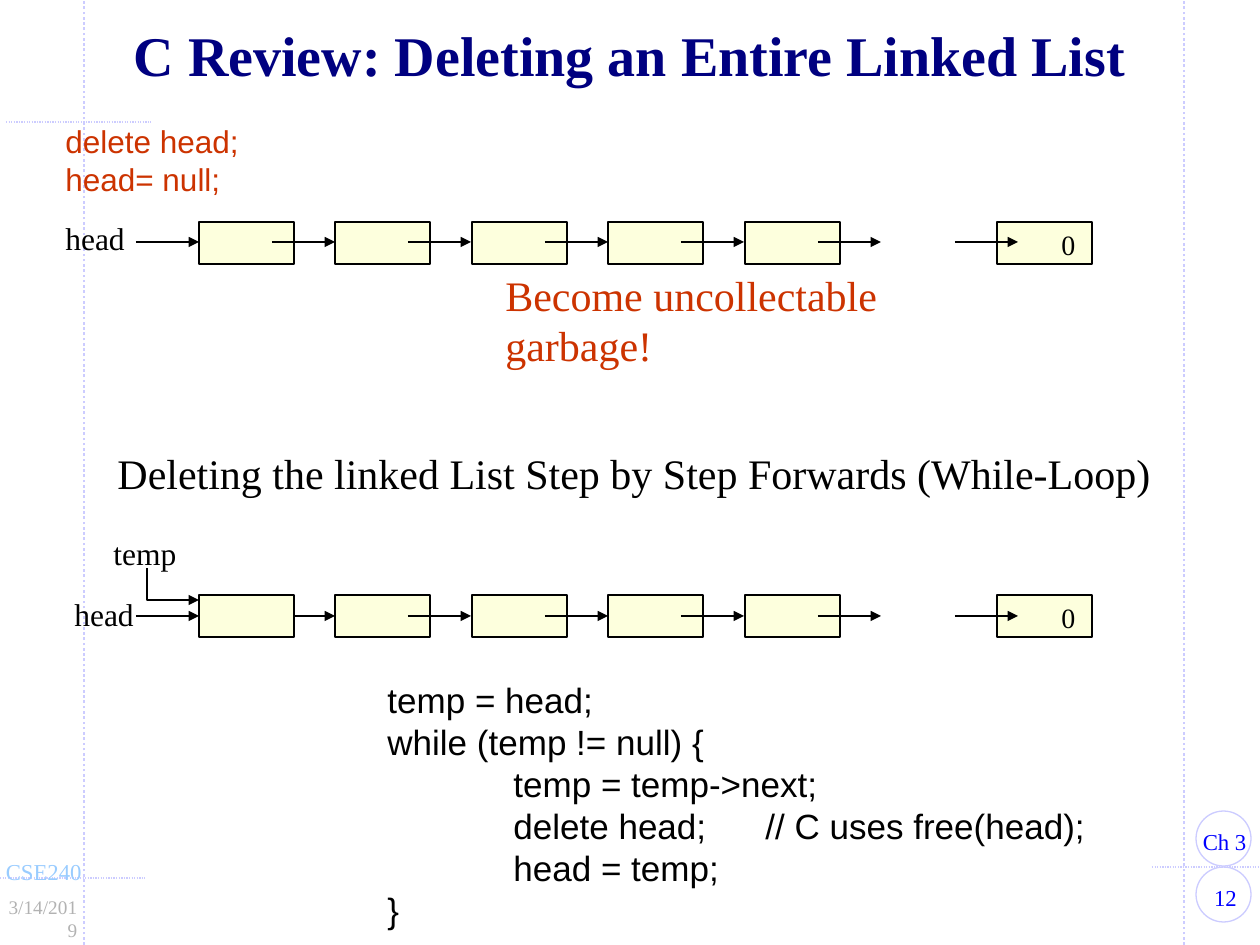
from lxml import etree
from pptx import Presentation, util as u
from pptx.dml.color import RGBColor
from pptx.enum import dml, shapes, text
from pptx.oxml.ns import qn

PX = u.Inches(1) / 126
SERIF, SANS = "Times New Roman", "Arial"
BLACK, RED, BLUE, LILAC = "000000", "CC3300", "0000FF", "CCCCFF"

deck = Presentation()
deck.slide_width, deck.slide_height = u.Inches(10), u.Inches(7.5)
page = deck.slides.add_slide(deck.slide_layouts[6])


def label(lines, place, size, colour=BLACK, face=SERIF, bold=False,
          align=text.PP_ALIGN.LEFT, tabs=(), **frame_format):
    """Add a text box at a px place, one paragraph per line, tab stops in inches."""
    box = page.shapes.add_textbox(*(int(n * PX) for n in place))
    frame = box.text_frame
    for name, value in {"word_wrap": False, **frame_format}.items():
        setattr(frame, name, value)
    frame.text = lines
    for para in frame.paragraphs:
        para.alignment = align
        if tabs:
            stops = etree.SubElement(para._p.get_or_add_pPr(), qn("a:tabLst"))
            for stop in tabs:
                etree.SubElement(stops, qn("a:tab"), pos=str(u.Inches(stop)), algn="l")
        for span in para.runs:
            for name, value in {"size": u.Pt(size), "name": face, "bold": bold}.items():
                setattr(span.font, name, value)
            span.font.color.rgb = RGBColor.from_string(colour)


def outline(shape, colour=BLACK, weight=0.75, dash=None, arrow=False):
    """Give a shape or connector its line and take its shadow away."""
    shape.line.color.rgb = RGBColor.from_string(colour)
    shape.line.width = u.Pt(weight)
    if dash:
        shape.line.dash_style = dash
    if arrow:
        etree.SubElement(shape.line._get_or_add_ln(), qn("a:tailEnd"), type="triangle")
    etree.SubElement(shape._element.spPr, qn("a:effectLst"))


# Dotted guides and page circles
guides = [(84, 945, 84, 0, 1.5), (1184, 945, 1184, 0, 1.5), (0, 878, 145, 878, 0.75),
          (1152, 867, 1266, 867, 0.75), (6, 122, 151, 122, 0.75)]
for *ends, weight in guides:
    guide = page.shapes.add_connector(shapes.MSO_CONNECTOR.STRAIGHT,
                                      *(int(n * PX) for n in ends))
    outline(guide, LILAC, weight, dml.MSO_LINE.ROUND_DOT)
for top in (867, 811):
    circle = page.shapes.add_shape(shapes.MSO_SHAPE.OVAL,
                                   *(int(n * PX) for n in (1196, top, 55, 55)))
    circle.fill.background()
    outline(circle, LILAC)

# Footer and title
inset = {"margin_left": u.Inches(0.11), "margin_right": u.Inches(0.11)}
label("12", (1189, 878, 73, 40), 13, BLUE, align=text.PP_ALIGN.CENTER, word_wrap=True, **inset)
label("Ch 3", (1189, 822, 85, 40), 13, BLUE, **inset)
label("CSE240", (-8, 852, 118, 40), 13, "99CCFF", **inset)
label("3/14/2019", (-14, 889, 105, 37), 11, "B2B2B2", align=text.PP_ALIGN.RIGHT,
      word_wrap=True, **inset)
label("C Review: Deleting an Entire Linked List", (92, 15, 1076, 78), 32, "000080",
      bold=True, align=text.PP_ALIGN.CENTER, word_wrap=True,
      vertical_anchor=text.MSO_ANCHOR.MIDDLE, **inset)

# Two linked lists: each part is ("node" or "link", left)
nodes = [199 + 273 * i // 2 for i in range(5)]
chain = [(kind, left + shift) for left in nodes for kind, shift in (("node", 0), ("link", 73))]
ending = [("node", 997), ("link", 955), ("link", 136)]
first_node, first_link, *rest = chain
lists = [(222, 242, chain + ending),
         (595, 616, [first_link, first_node] + rest + ending)]
for top, middle, parts in lists:
    for kind, left in parts:
        if kind == "node":
            node = page.shapes.add_shape(shapes.MSO_SHAPE.RECTANGLE,
                                         *(int(n * PX) for n in (left, top, 95, 42)))
            node.fill.solid()
            node.fill.fore_color.rgb = RGBColor.from_string("FDFFDD")
            outline(node)
        else:
            link = page.shapes.add_connector(
                shapes.MSO_CONNECTOR.STRAIGHT,
                *(int(n * PX) for n in (left, middle, left + 63, middle)))
            outline(link, arrow=True)
    label("0", (1049, top - 1, 45, 47), 16)

# Bent temp pointer
pen = page.shapes.build_freeform(147, 568, scale=PX)
pen.add_line_segments([(147, 600), (199, 600)], close=False)
pointer = pen.convert_to_shape()
pointer.fill.background()
outline(pointer, arrow=True)

# Pointer names, captions and code
label("head", (53, 213, 100, 50), 18)
label("head", (62, 589, 100, 50), 18)
label("temp", (101, 528, 100, 50), 18)
label("Become uncollectable garbage!", (493, 263, 554, 63), 24, RED,
      word_wrap=True, margin_right=u.Inches(0.3))
label("Deleting the linked List Step by Step Forwards (While-Loop)",
      (105, 441, 1087, 63), 24)
label("delete head;\nhead= null;", (53, 116, 199, 88), 18, RED, SANS)
label("temp = head;\nwhile (temp != null) {\n\ttemp = temp->next;\n"
      "\tdelete head;\t// C uses free(head);\n\thead = temp;\n}",
      (375, 672, 750, 267), 20, face=SANS, tabs=(1, 3))

deck.save("out.pptx")
